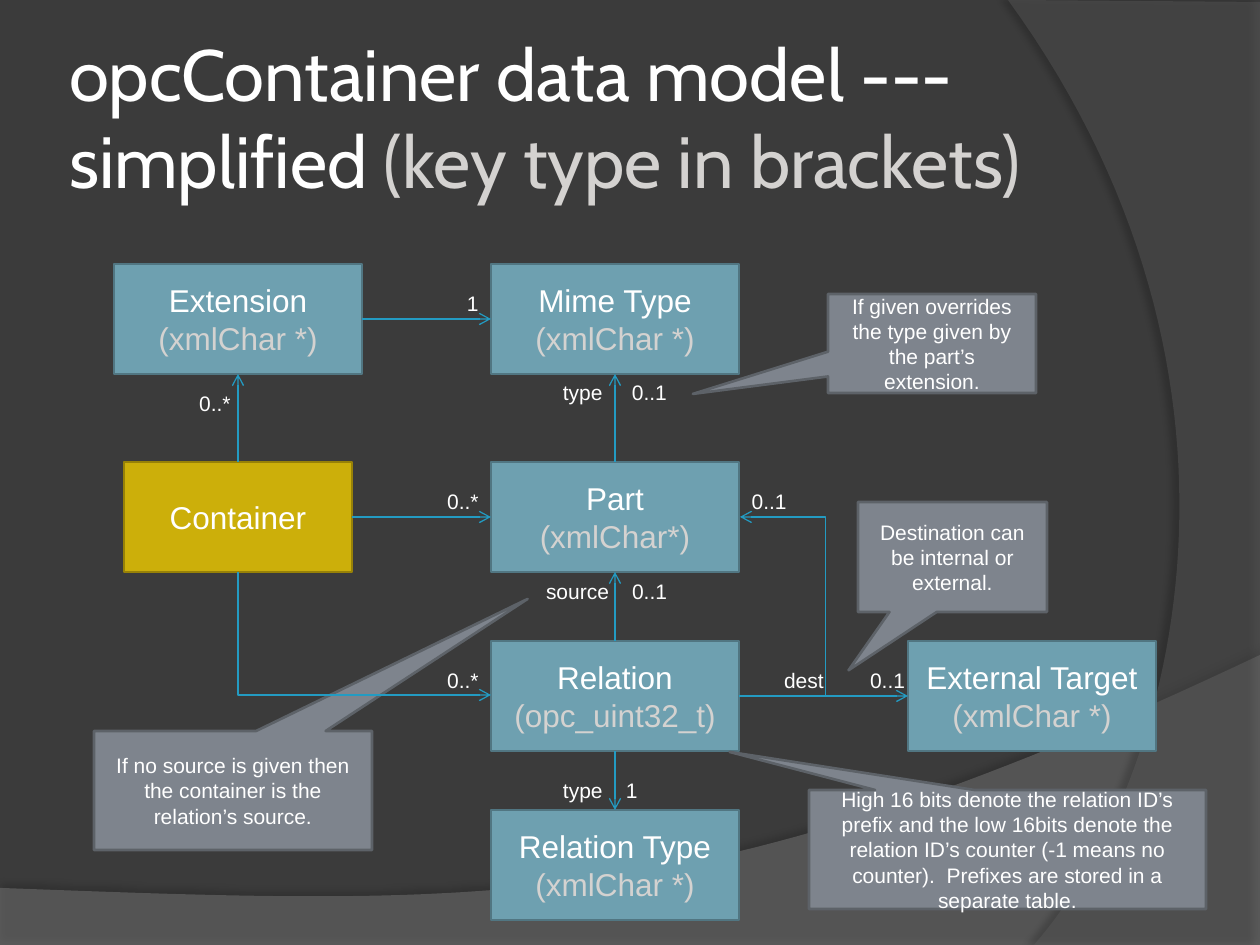
from lxml.etree import SubElement
from pptx import Presentation
from pptx.dml.color import RGBColor
from pptx.enum.shapes import MSO_CONNECTOR, MSO_SHAPE
from pptx.enum.text import MSO_ANCHOR, MSO_AUTO_SIZE, PP_ALIGN
from pptx.oxml.ns import qn
from pptx.util import Pt

PX = 914400 / 126
C = {"bg": "3B3B3B", "wave": "7F7F7F", "arc": "5E5E5E", "white": "FFFFFF",
     "key": "D4D2D0", "entity": "6EA0B0", "entity_line": "517682",
     "root": "CCAF0A", "root_line": "978107", "note": "7E848D",
     "note_line": "5D6268", "arrow": "239BC2", "black": "000000"}


def emu(*px):
    return [round(v * PX) for v in px]


def add_run(p, text, size, color="white", font="Arial"):
    r = p.add_run()
    r.text = text
    r.font.size = Pt(size)
    r.font.name = font
    r.font.color.rgb = RGBColor.from_string(C[color])


prs = Presentation()
prs.slide_width, prs.slide_height = emu(1260, 945)
s = prs.slides.add_slide(prs.slide_layouts[5])
s.background.fill.solid()
s.background.fill.fore_color.rgb = RGBColor.from_string(C["bg"])

# Background curves: colour, opacity %, shadow opacity %, distance, direction,
# four Bezier control points, straight corners that close the outline
curves = [
    ("wave", 45, 35, 3.5, 270,
     [(1260, 655), (704, 919), (493, 906), (0, 888)], [(0, 945), (1260, 945)]),
    ("arc", 40, 45, 4, 180,
     [(1034, 945), (1178, 780), (1283, 378), (1008, 0)], [(1260, 2), (1260, 945)]),
]
for i, (color, alpha, dark, dist, angle, ctrl, corners) in enumerate(curves):
    pts = []
    for n in range(61):
        t = n / 60
        w = ((1 - t) ** 3, 3 * t * (1 - t) ** 2, 3 * t * t * (1 - t), t ** 3)
        pts.append([sum(k * c[axis] for k, c in zip(w, ctrl)) for axis in (0, 1)])
    fb = s.shapes.build_freeform(*emu(*pts[0]))
    fb.add_line_segments([emu(*pt) for pt in pts[1:] + corners])
    sp = fb.convert_to_shape()
    sp.fill.solid()
    sp.fill.fore_color.rgb = RGBColor.from_string(C[color])
    sp.line.fill.background()
    spPr = sp._element.spPr
    clr = spPr.find(qn("a:solidFill"))[0]
    SubElement(clr, qn("a:alpha"), val=str(alpha * 1000))
    effects = SubElement(spPr, qn("a:effectLst"))
    shadow = SubElement(effects, qn("a:outerShdw"), blurRad=str(Pt(4)),
                        dist=str(Pt(dist)), dir=str(angle * 60000))
    clr = SubElement(shadow, qn("a:srgbClr"), val=C["black"])
    SubElement(clr, qn("a:alpha"), val=str(dark * 1000))
    s.shapes._spTree.insert(2 + i, sp._element)

# Title
title = s.shapes.title
title.left, title.top, title.width, title.height = emu(63, 38, 1029, 157)
tf = title.text_frame
tf.auto_size = MSO_AUTO_SIZE.NONE
tf.word_wrap = True
tf.vertical_anchor = MSO_ANCHOR.MIDDLE
tf.margin_left, tf.margin_right, tf.margin_top, tf.margin_bottom = emu(6, 6, 6, 6)
p = tf.paragraphs[0]
p.alignment = PP_ALIGN.LEFT
add_run(p, "opcContainer data model ---simplified ", 41.4, "white", "Cabin")
add_run(p, "(key type in brackets)", 41.4, "key", "Cabin")

# Entities and notes: text, key type, left, top, width, height, style, pointer
LEFT, MID, RIGHT = 114, 491, 908
shapes = [
    ("Container", "", 124, 462, 228, 110, "root", None),
    ("Part", "(xmlChar*)", MID, 462, 248, 110, "entity", None),
    ("External Target", "(xmlChar *)", RIGHT, 641, 248, 110, "entity", None),
    ("Relation Type", "(xmlChar *)", MID, 810, 248, 110, "entity", None),
    ("Extension", "(xmlChar *)", LEFT, 264, 248, 110, "entity", None),
    ("Mime Type", "(xmlChar *)", MID, 264, 248, 110, "entity", None),
    ("Relation", "(opc_uint32_t)", MID, 641, 248, 110, "entity", None),
    ("Destination can be internal or external.", "",
     858, 502, 189, 110, "note", (-0.55, 1.03)),
    ("If given overrides the type given by the part’s extension.", "",
     828, 294, 208, 99, "note", (-1.15, 0.51)),
    ("If no source is given then the container is the relation’s source.", "",
     94, 731, 278, 119, "note", (1.06, -1.61)),
    ("High 16 bits denote the relation ID’s prefix and the low 16bits denote the "
     "relation ID’s counter (-1 means no counter).  Prefixes are stored in a "
     "separate table.", "", 809, 790, 397, 119, "note", (-0.7, -0.82)),
]
box = {}
for text, key, x, y, w, h, style, pointer in shapes:
    kind = MSO_SHAPE.RECTANGULAR_CALLOUT if pointer else MSO_SHAPE.RECTANGLE
    sp = s.shapes.add_shape(kind, *emu(x, y, w, h))
    if pointer:
        sp.adjustments[0], sp.adjustments[1] = pointer
    sp.shadow.inherit = False
    sp.fill.solid()
    sp.fill.fore_color.rgb = RGBColor.from_string(C[style])
    sp.line.color.rgb = RGBColor.from_string(C[style + "_line"])
    sp.line.width = Pt(1.5)
    tf = sp.text_frame
    tf.word_wrap = True
    tf.vertical_anchor = MSO_ANCHOR.MIDDLE
    p = tf.paragraphs[0]
    p.alignment = PP_ALIGN.CENTER
    size = 12 if pointer else 18
    add_run(p, text, size)
    if key:
        p.add_line_break()
        add_run(p, key, size, "key")
    box[text] = sp

# Straight arrows, glued to the entities
TOP, WEST, BOTTOM, EAST = range(4)
arrows = []
for start, site, end, end_site in [
    ("Container", EAST, "Part", WEST), ("Relation", TOP, "Part", BOTTOM),
    ("Part", TOP, "Mime Type", BOTTOM), ("Relation", BOTTOM, "Relation Type", TOP),
    ("Extension", EAST, "Mime Type", WEST), ("Container", TOP, "Extension", BOTTOM),
    ("Relation", EAST, "External Target", WEST),
]:
    c = s.shapes.add_connector(MSO_CONNECTOR.STRAIGHT, 0, 0, 0, 0)
    c.begin_connect(box[start], site)
    c.end_connect(box[end], end_site)
    arrows.append(c)

# Container to Relation: one corner, down and then right
c = s.shapes.add_connector(MSO_CONNECTOR.ELBOW, *emu(303, 507, 426, 760))
c._element.spPr.prstGeom.set("prst", "bentConnector2")
c._element.spPr.xfrm.set("rot", str(270 * 60000))
c._element.spPr.xfrm.set("flipH", "1")
arrows.append(c)

# Relation to Part: out to the right and back
c = s.shapes.add_connector(MSO_CONNECTOR.ELBOW, *emu(739, 696, 740, 517))
guides = c._element.spPr.prstGeom.get_or_add_avLst()
SubElement(guides, qn("a:gd"), name="adj1", fmla="val 8700000")
arrows.append(c)

for c in arrows:
    c.line.color.rgb = RGBColor.from_string(C["arrow"])
    c.line.width = Pt(0.75)
    SubElement(c.line._get_or_add_ln(), qn("a:tailEnd"), type="arrow")
    SubElement(c._element.spPr, qn("a:effectLst"))

# Role and cardinality labels: role, count, left, top, width, role x, count x
labels = [
    ("type", "1", 491, 771, 159, 563, 626),
    ("", "1", 422, 284, 69, 0, 0),
    ("", "0..*", 422, 482, 69, 0, 0),
    ("", "0..*", 174, 384, 69, 0, 0),
    ("", "0..*", 422, 661, 69, 0, 0),
    ("source", "0..1", 520, 572, 159, 546, 632),
    ("", "0..1", 730, 482, 69, 0, 0),
    ("dest", "0..1", 748, 661, 169, 784, 870),
    ("type", "0..1", 491, 373, 189, 563, 632),
]
for role, count, x, y, w, role_x, count_x in labels:
    tf = s.shapes.add_textbox(*emu(x, y, w, 38)).text_frame
    tf.word_wrap = True
    p = tf.paragraphs[0]
    p.alignment = PP_ALIGN.RIGHT
    if role:
        p.alignment = PP_ALIGN.LEFT
        tf.margin_left, tf.margin_right = emu(role_x - x, 0)
        tabs = SubElement(p._p.get_or_add_pPr(), qn("a:tabLst"))
        SubElement(tabs, qn("a:tab"), pos=str(emu(count_x - role_x)[0]), algn="l")
        add_run(p, role + "\t", 12)
    add_run(p, count, 12)

prs.save("out.pptx")
